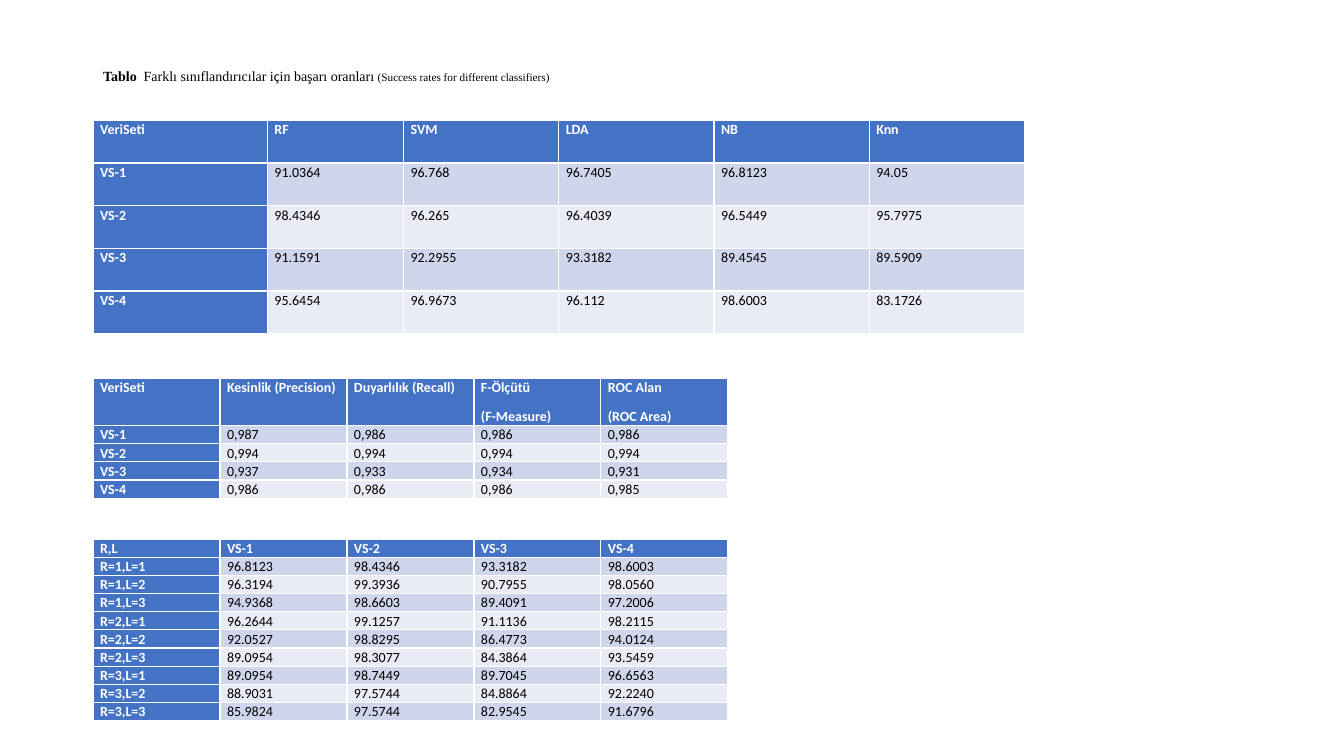
from pptx import Presentation
from pptx.dml.color import RGBColor
from pptx.enum import text
from pptx.util import Pt

BLUE, WHITE, BLACK = "4472C4", "FFFFFF", "000000"
BANDS = ["CFD5EA", "E9EBF5"]
LEFT = 66.5
LINE = 12.85


def style_run(r, size, font, color, bold):
    r.font.size, r.font.name, r.font.bold = Pt(size), font, bold
    r.font.color.rgb = RGBColor.from_string(color)


def add_grid(s, top, widths, heights, rows, header_align):
    """Add a banded table with a blue header row and a blue first column."""
    tbl = s.shapes.add_table(len(rows), len(widths), Pt(LEFT), Pt(top),
                             Pt(sum(widths)), Pt(sum(heights))).table
    tbl.first_col = True
    for col, w in zip(tbl.columns, widths):
        col.width = Pt(w)
    for i, (row, h) in enumerate(zip(rows, heights)):
        tbl.rows[i].height = Pt(h)
        for j, value in enumerate(row):
            cell = tbl.cell(i, j)
            cell.margin_left = cell.margin_right = Pt(5)
            cell.margin_top = cell.margin_bottom = Pt(0)
            label = i == 0 or j == 0
            cell.fill.solid()
            cell.fill.fore_color.rgb = RGBColor.from_string(BLUE if label else BANDS[(i - 1) % 2])
            tf = cell.text_frame
            for k, line in enumerate(value.split("\n")):
                p = tf.add_paragraph() if k else tf.paragraphs[0]
                p.alignment = header_align if i == 0 and j else text.PP_ALIGN.JUSTIFY
                p.line_spacing = 1.07
                p.space_after = Pt(8)
                r = p.add_run()
                r.text = line
                style_run(r, 10, "Calibri", WHITE if label else BLACK, label)


prs = Presentation()
prs.slide_width, prs.slide_height = Pt(960), Pt(540)
s = prs.slides.add_slide(prs.slide_layouts[5])

# Caption
title = s.shapes.title
title.left, title.top, title.width, title.height = Pt(LEFT), Pt(44.6), Pt(342.7), Pt(41)
tf = title.text_frame
tf.word_wrap = True
tf.auto_size = text.MSO_AUTO_SIZE.NONE
tf.vertical_anchor = text.MSO_ANCHOR.TOP
p = tf.paragraphs[0]
p.alignment = text.PP_ALIGN.LEFT
for words, size, font, bold in [
    ("Tablo ", 10, "Times New Roman", True),
    (" Farklı sınıflandırıcılar i", 10, "Times New Roman", False),
    ("ç", 10, "Calibri", False),
    ("in başarı oranları ", 10, "Times New Roman", False),
    ("(Success rates for different classifiers)", 8, "Times New Roman", False),
]:
    r = p.add_run()
    r.text = words
    style_run(r, size, font, BLACK, bold)

# Success rate of each classifier
classifiers = [
    ["VeriSeti", "RF", "SVM", "LDA", "NB", "Knn"],
    ["VS-1", "91.0364", "96.768", "96.7405", "96.8123", "94.05"],
    ["VS-2", "98.4346", "96.265", "96.4039", "96.5449", "95.7975"],
    ["VS-3", "91.1591", "92.2955", "93.3182", "89.4545", "89.5909"],
    ["VS-4", "95.6454", "96.9673", "96.112", "98.6003", "83.1726"],
]
add_grid(s, 86, [124.6, 97.2] + [110.9] * 4, [30.5] * 5, classifiers, text.PP_ALIGN.JUSTIFY)

# Precision, recall, F-measure and ROC area
measures = [
    ["VeriSeti", "Kesinlik (Precision)", "Duyarlılık (Recall)",
     "F-Ölçütü\n(F-Measure)", "ROC Alan\n(ROC Area)"],
    ["VS-1", "0,987", "0,986", "0,986", "0,986"],
    ["VS-2", "0,994", "0,994", "0,994", "0,994"],
    ["VS-3", "0,937", "0,933", "0,934", "0,931"],
    ["VS-4", "0,986", "0,986", "0,986", "0,985"],
]
add_grid(s, 270, [90.7] * 5, [33.5] + [LINE] * 4, measures, text.PP_ALIGN.LEFT)

# Success rate for each R and L
parameters = [
    ["R,L", "VS-1", "VS-2", "VS-3", "VS-4"],
    ["R=1,L=1", "96.8123", "98.4346", "93.3182", "98.6003"],
    ["R=1,L=2", "96.3194", "99.3936", "90.7955", "98.0560"],
    ["R=1,L=3", "94.9368", "98.6603", "89.4091", "97.2006"],
    ["R=2,L=1", "96.2644", "99.1257", "91.1136", "98.2115"],
    ["R=2,L=2", "92.0527", "98.8295", "86.4773", "94.0124"],
    ["R=2,L=3", "89.0954", "98.3077", "84.3864", "93.5459"],
    ["R=3,L=1", "89.0954", "98.7449", "89.7045", "96.6563"],
    ["R=3,L=2", "88.9031", "97.5744", "84.8864", "92.2240"],
    ["R=3,L=3", "85.9824", "97.5744", "82.9545", "91.6796"],
]
add_grid(s, 385, [90.7] * 5, [LINE] * 10, parameters, text.PP_ALIGN.JUSTIFY)

prs.save("out.pptx")
